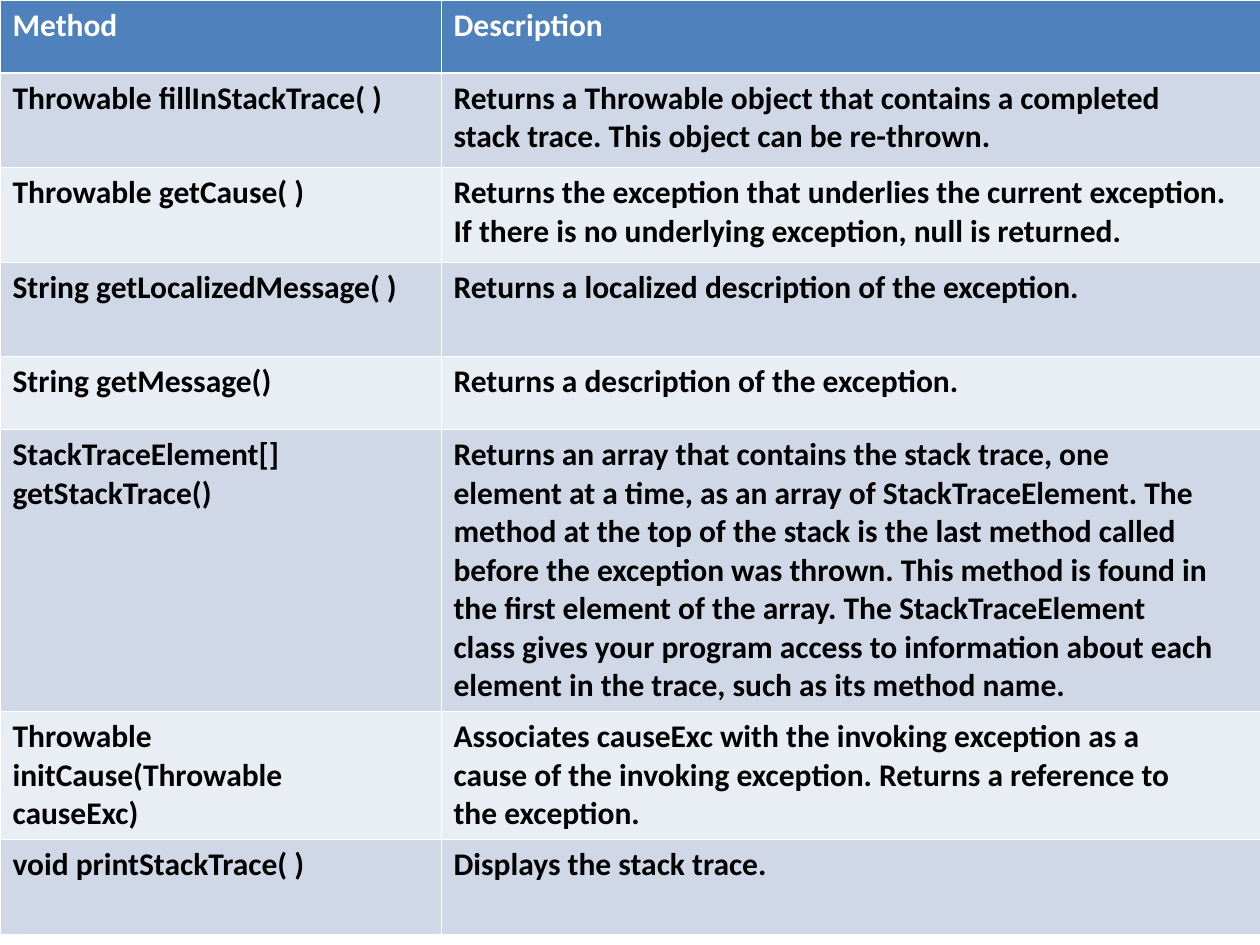
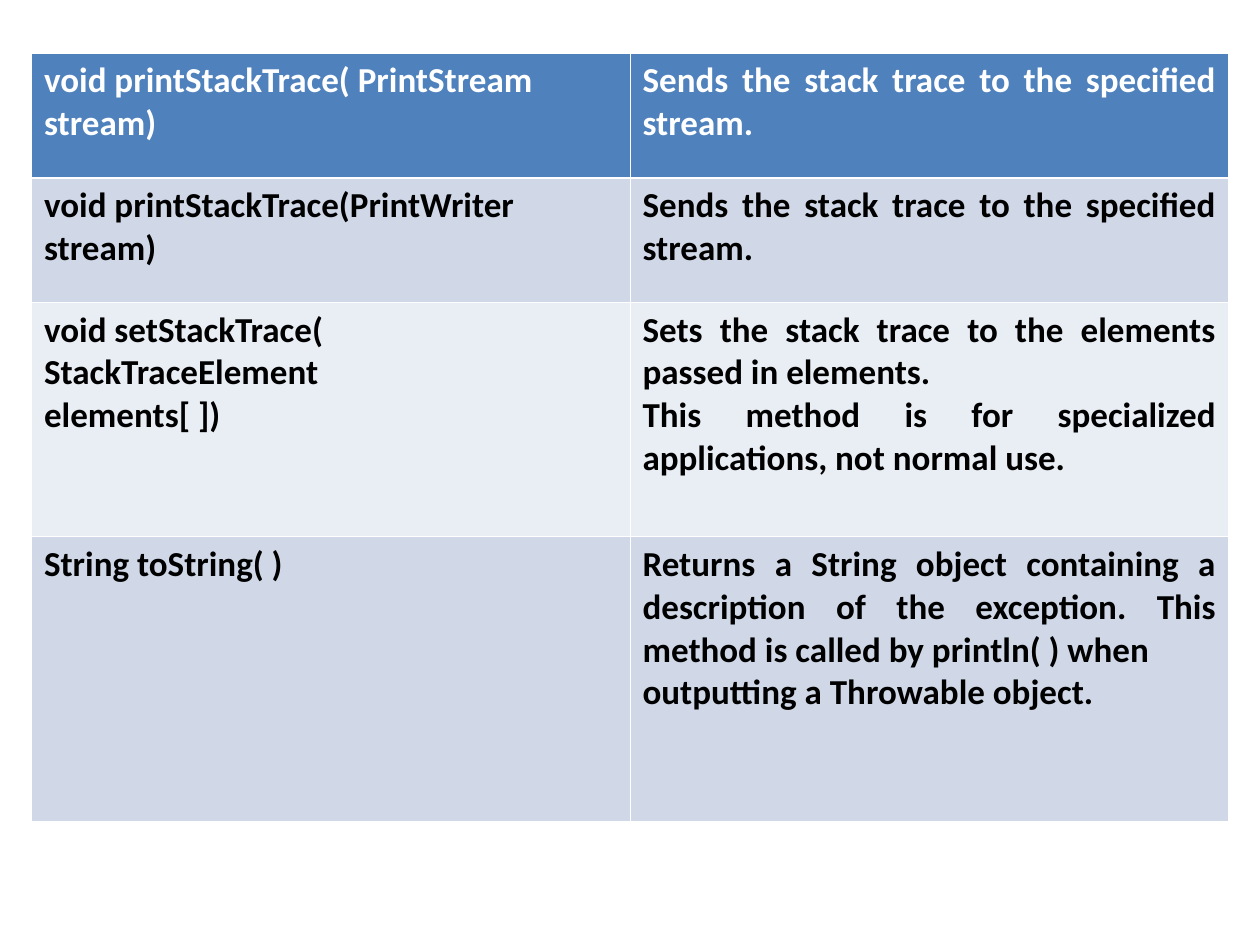
from lxml import etree
from pptx import Presentation
from pptx.dml.color import RGBColor
from pptx.enum import text
from pptx.oxml.ns import qn
from pptx.util import Inches, Pt

# Each cell is a list of paragraphs.
COMMON_METHODS = [
    (["Method"], ["Description"]),
    (["Throwable fillInStackTrace( )"],
     ["Returns a Throwable object that contains a completed",
      "stack trace. This object can be re-thrown."]),
    (["Throwable getCause( )"],
     ["Returns the exception that underlies the current exception.",
      "If there is no underlying exception, null is returned."]),
    (["String getLocalizedMessage( )"],
     ["Returns a localized description of the exception."]),
    (["String getMessage()"],
     ["Returns a description of the exception."]),
    (["StackTraceElement[]", "getStackTrace()"],
     ["Returns an array that contains the stack trace, one",
      "element at a time, as an array of StackTraceElement. The",
      "method at the top of the stack is the last method called",
      "before the exception was thrown. This method is found in",
      "the first element of the array. The StackTraceElement",
      "class gives your program access to information about each",
      "element in the trace, such as its method name."]),
    (["Throwable initCause(Throwable", "causeExc)"],
     ["Associates causeExc with the invoking exception as a",
      "cause of the invoking exception. Returns a reference to",
      "the exception."]),
    (["void printStackTrace( )"], ["Displays the stack trace."]),
]
MORE_METHODS = [
    (["void printStackTrace( PrintStream", "stream)"],
     ["Sends the stack trace to the specified stream."]),
    (["void printStackTrace(PrintWriter", "stream)"],
     ["Sends the stack trace to the specified stream."]),
    (["void setStackTrace(", "StackTraceElement", "elements[ ])"],
     ["Sets the stack trace to the elements passed in elements.",
      "This method is for specialized applications, not normal use."]),
    (["String toString( )"],
     ["Returns a String object containing a description of the exception. "
      "This method is called by println( ) when",
      "outputting a Throwable object."]),
]
LEFT, JUSTIFY = text.PP_ALIGN.LEFT, text.PP_ALIGN.JUSTIFY
METHOD_TABLES = [
    dict(methods=COMMON_METHODS, left=0, top=0, widths=[3.5, 6.5],
         heights=[0.58, 0.75, 0.75, 0.75, 0.58, 2.2, 1, 0.75],
         size=18, align=LEFT),
    dict(methods=MORE_METHODS, left=0.25, top=0.42, widths=[4.75, 4.75],
         heights=[0.99, 0.99, 1.86, 2.26], size=20, align=JUSTIFY),
]

FONT = "Calibri"
WHITE = RGBColor(0xFF, 0xFF, 0xFF)
BLACK = RGBColor(0x00, 0x00, 0x00)
HEADER_BLUE = RGBColor(0x4F, 0x81, 0xBD)
BANDS = [RGBColor(0xE9, 0xED, 0xF4), RGBColor(0xD0, 0xD8, 0xE8)]
THIN, THICK = 0.45, 1.47


def write(frame, paragraphs, *, size, color, align):
    frame.text = "\n".join(paragraphs)
    for paragraph in frame.paragraphs:
        paragraph.alignment = align
        font = paragraph.runs[0].font
        font.name, font.size, font.bold = FONT, Pt(size), True
        font.color.rgb = color


def set_borders(cell, **widths):
    """Draw white borders; the sides come in schema order L, R, T, B."""
    properties = cell._tc.get_or_add_tcPr()
    for position, (side, width) in enumerate(widths.items()):
        line = etree.Element(qn(f"a:ln{side}"), w=str(Pt(width)))
        fill = etree.SubElement(line, qn("a:solidFill"))
        etree.SubElement(fill, qn("a:srgbClr"), val=str(WHITE))
        properties.insert(position, line)


def add_method_table(slide, methods, left, top, widths, heights, size, align):
    table = slide.shapes.add_table(
        len(methods), len(widths), Inches(left), Inches(top),
        Inches(sum(widths)), Inches(sum(heights))).table
    for column, width in zip(table.columns, widths):
        column.width = Inches(width)
    for index, (row, height, entry) in enumerate(
            zip(table.rows, heights, methods)):
        row.height = Inches(height)
        header = index == 0
        for cell, paragraphs in zip(row.cells, entry):
            cell.fill.solid()
            cell.fill.fore_color.rgb = HEADER_BLUE if header else BANDS[index % 2]
            set_borders(cell, L=THIN, R=THIN,
                        T=THICK if index == 1 else THIN,
                        B=THICK if header else THIN)
            write(cell.text_frame, paragraphs, size=size, align=align,
                  color=WHITE if header else BLACK)


def main():
    deck = Presentation()
    deck.slide_width, deck.slide_height = Inches(10), Inches(7.5)
    blank = deck.slide_layouts[6]
    for method_table in METHOD_TABLES:
        add_method_table(deck.slides.add_slide(blank), **method_table)
    deck.save("out.pptx")


if __name__ == "__main__":
    main()
